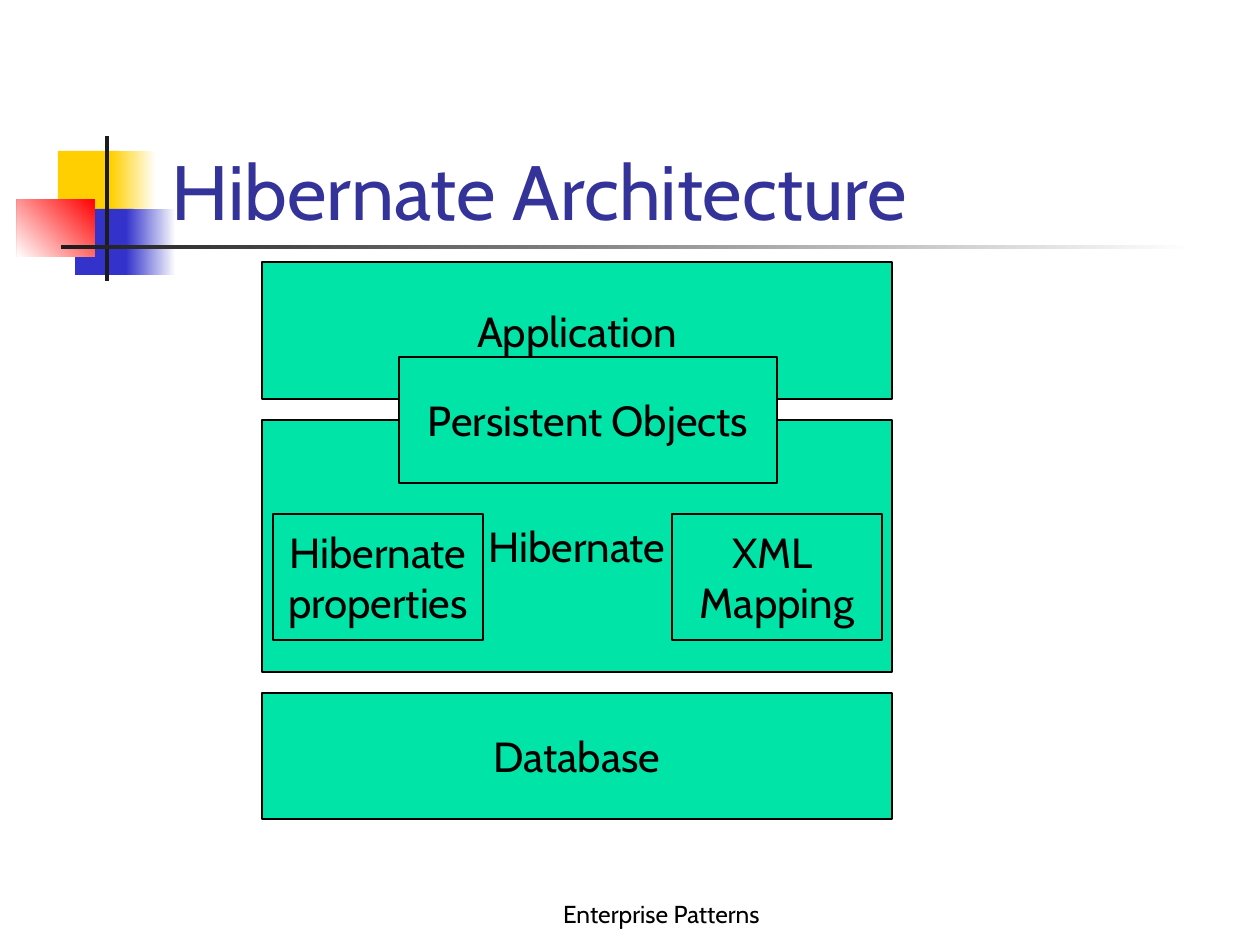
from pptx import Presentation
from pptx.dml.color import RGBColor
from pptx.enum.shapes import MSO_SHAPE as Shape
from pptx.enum.text import MSO_ANCHOR as Anchor, PP_ALIGN as Align
from pptx.util import Emu, Pt

EMU_PER_PX = 914400 / 126
FONT = "Cabin"

WHITE = RGBColor(0xFF, 0xFF, 0xFF)
BLACK = RGBColor(0x00, 0x00, 0x00)
YELLOW = RGBColor(0xFF, 0xCF, 0x01)
BLUE = RGBColor(0x33, 0x33, 0xCC)
RED = RGBColor(0xFF, 0x00, 0x00)
CHARCOAL = RGBColor(0x1C, 0x1C, 0x1C)
TITLE_BLUE = RGBColor(0x33, 0x33, 0x99)
GREEN = RGBColor(0x00, 0xE4, 0xA8)

# Left, top, width, height in px, from back to front
SOLID_BLOCKS = [((58, 151, 61, 66), YELLOW), ((75, 209, 58, 66), BLUE)]
FADING_BLOCKS = [((111, 151, 45, 66), YELLOW), ((126, 209, 50, 66), BLUE)]
LAYERS = [
    ("Application", (262, 262, 630, 137)),
    ("Hibernate", (262, 420, 630, 252)),
    ("Persistent Objects", (399, 357, 378, 126)),
    ("Hibernate\nproperties", (273, 514, 210, 126)),
    ("XML \nMapping", (672, 514, 210, 126)),
    ("Database", (262, 693, 630, 126)),
]


def px(length):
    return Emu(round(length * EMU_PER_PX))


def write(shape, text, size, color=BLACK, align=Align.CENTER,
          anchor=Anchor.MIDDLE, wrap=True):
    frame = shape.text_frame
    frame.word_wrap = wrap
    frame.vertical_anchor = anchor
    frame.text = text
    for paragraph in frame.paragraphs:
        paragraph.alignment = align
        font = paragraph.font
        font.name, font.size, font.color.rgb = FONT, Pt(size), color


def add_label(slide, box, text, **text_format):
    label = slide.shapes.add_textbox(*map(px, box))
    write(label, text, **text_format)


def add_block(slide, box, color=None):
    block = slide.shapes.add_shape(Shape.RECTANGLE, *map(px, box))
    block.shadow.inherit = False
    block.line.fill.background()
    if color is not None:
        block.fill.solid()
        block.fill.fore_color.rgb = color
    return block


def add_fade(slide, box, start, end, angle):
    """Angle is counter-clockwise, as python-pptx counts it."""
    fill = add_block(slide, box).fill
    fill.gradient()
    fill.gradient_angle = angle
    for stop, color in zip(fill.gradient_stops, (start, end)):
        stop.color.rgb = color


def add_layer(slide, name, box):
    layer = add_block(slide, box, GREEN)
    layer.line.color.rgb = BLACK
    layer.line.width = Pt(0.75)
    write(layer, name, size=24, wrap=False)


def add_ornament(slide):
    for (solid_box, color), (fade_box, _) in zip(SOLID_BLOCKS, FADING_BLOCKS):
        add_block(slide, solid_box, color)
        add_fade(slide, fade_box, WHITE, color, 180)
    add_fade(slide, (17, 199, 78, 58), RED, WHITE, 225)
    # Crossing bars
    add_block(slide, (105, 136, 4, 145), CHARCOAL)
    add_fade(slide, (61, 245, 1134, 4), WHITE, CHARCOAL, 180)


def main():
    deck = Presentation()
    deck.slide_width, deck.slide_height = px(1260), px(945)
    slide = deck.slides.add_slide(deck.slide_layouts[6])

    # Header
    add_ornament(slide)
    add_label(slide, (159, 84, 1074, 158), "Hibernate Architecture", size=44,
              color=TITLE_BLUE, align=Align.LEFT, anchor=Anchor.BOTTOM)

    # Architecture diagram
    for name, box in LAYERS:
        add_layer(slide, name, box)

    # Footer
    add_label(slide, (462, 872, 399, 63), "Enterprise Patterns", size=14,
              anchor=Anchor.BOTTOM)

    deck.save("out.pptx")


if __name__ == "__main__":
    main()
